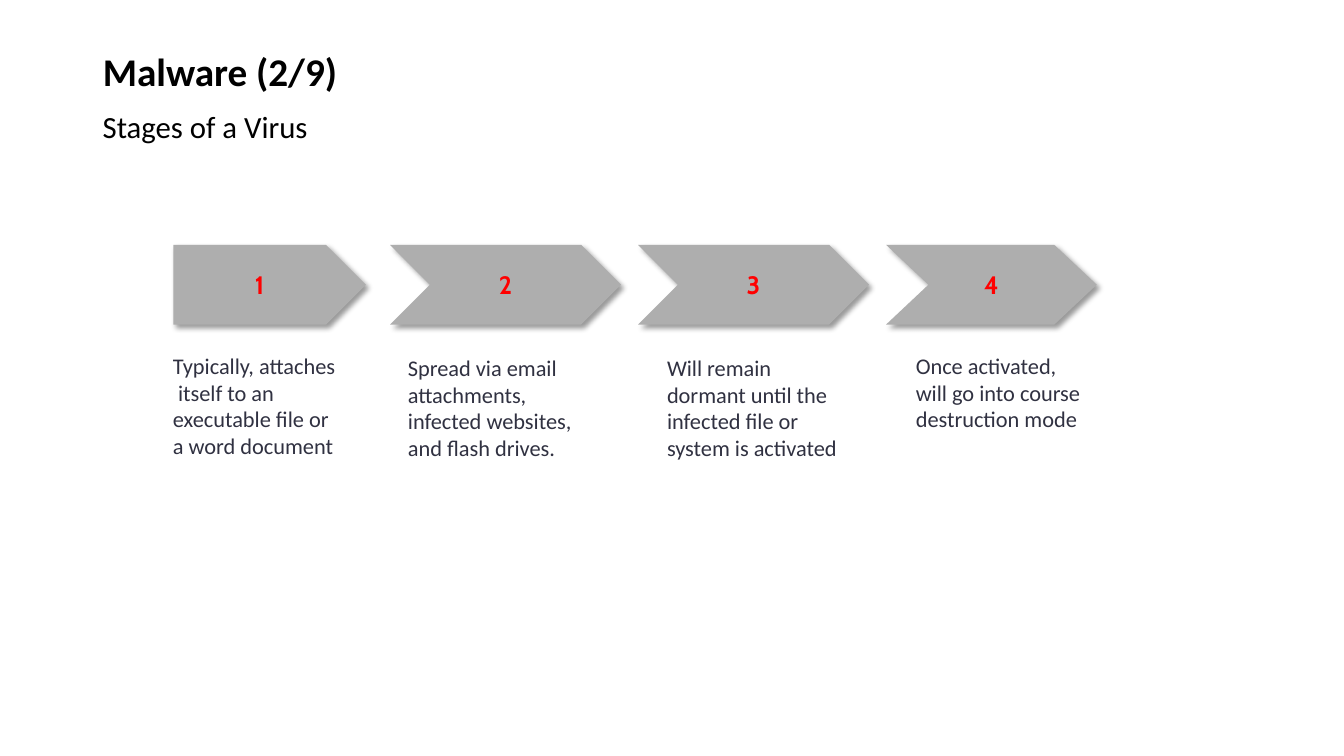
import pptx
import pptx.util
import pptx.dml.color
import pptx.enum.shapes
import pptx.enum.text
import pptx.oxml
import pptx.oxml.ns

Cm = pptx.util.Cm
Pt = pptx.util.Pt
Kind = pptx.enum.shapes.MSO_SHAPE
Align = pptx.enum.text.PP_ALIGN
Anchor = pptx.enum.text.MSO_ANCHOR
Fit = pptx.enum.text.MSO_AUTO_SIZE

HUES = {"ink": "000000", "text": "303141", "arrow": "AEAEAE", "mark": "FF0000"}

# kind, point, arrow left and width, note left, top, width and height, note
STAGES = [
    (Kind.PENTAGON, 0.5, 0.26, 4.85, 0, 0, 4.62, 3.68,
     "Typically, attaches  itself to an executable file or a word document"),
    (Kind.CHEVRON, 0.5, 5.72, 5.82, 5.92, 0.05, 5.21, 3,
     "Spread via email attachments, infected websites, and flash drives."),
    (Kind.CHEVRON, 0.5, 11.97, 5.82, 12.45, 0.05, 5.21, 3,
     "Will remain dormant until the infected file or system is activated"),
    (Kind.CHEVRON, 0.532, 18.22, 5.31, 18.72, 0, 4.8, 2.31,
     "Once activated, will go into course destruction mode"),
]


def hue(name):
    return pptx.dml.color.RGBColor.from_string(HUES[name])


def write(shape, words, size, color, font="Calibri", bold=False,
          align=Align.LEFT, anchor=Anchor.TOP, line=1.0):
    frame = shape.text_frame
    frame.word_wrap = True
    frame.auto_size = Fit.NONE
    frame.vertical_anchor = anchor
    para = frame.paragraphs[0]
    para.alignment = align
    para.line_spacing = line
    para.space_before = Pt(0)
    run = para.add_run()
    run.text = words
    run.font.size = Pt(size)
    run.font.name = font
    run.font.bold = bold
    run.font.color.rgb = hue(color)


def shade(shape):
    """Give the shape a soft shadow to the lower right."""
    shape.shadow.inherit = False
    glow = shape._element.spPr.find(pptx.oxml.ns.qn("a:effectLst"))
    glow.append(pptx.oxml.parse_xml(
        f'<a:outerShdw {pptx.oxml.ns.nsdecls("a")} blurRad="{Pt(4)}" '
        f'dist="{Pt(3)}" dir="{45 * 60000}" algn="tl" rotWithShape="0">'
        f'<a:srgbClr val="{HUES["ink"]}"><a:alpha val="40000"/></a:srgbClr>'
        '</a:outerShdw>'))


def head(slide, left, top, width):
    title = slide.shapes.title
    title.left, title.top = Cm(left), Cm(top)
    title.width, title.height = Cm(width), Cm(1.68)
    write(title, "Malware (2/9)", 28, "ink", bold=True,
          anchor=Anchor.MIDDLE, line=0.9)
    sub = slide.shapes.add_textbox(Cm(left), Cm(top + 1.68), Cm(width), Cm(14.48))
    write(sub, "Stages of a Virus", 22, "ink", line=0.9)


def flow(slide, left, top):
    """Draw the numbered arrows with a note under each."""
    for count, stage in enumerate(STAGES, 1):
        kind, point, start, span, inset, drop, width, height, note = stage
        arrow = slide.shapes.add_shape(
            kind, Cm(left + start), Cm(top), Cm(span), Cm(2.01))
        arrow.adjustments[0] = point
        arrow.fill.solid()
        arrow.fill.fore_color.rgb = hue("arrow")
        arrow.line.fill.background()
        shade(arrow)
        write(arrow, str(count), 18, "mark", "Cabin", True,
              Align.CENTER, Anchor.MIDDLE)
        box = slide.shapes.add_textbox(
            Cm(left + inset), Cm(top + 2.57 + drop), Cm(width), Cm(height))
        write(box, note, 16, "text")


def main():
    deck = pptx.Presentation()
    deck.slide_width, deck.slide_height = Cm(33.87), Cm(19.05)
    slide = deck.slides.add_slide(deck.slide_layouts[5])
    head(slide, 2.34, 1.02, 29.21)
    flow(slide, 4.11, 6.17)
    deck.save("out.pptx")


if __name__ == "__main__":
    main()
